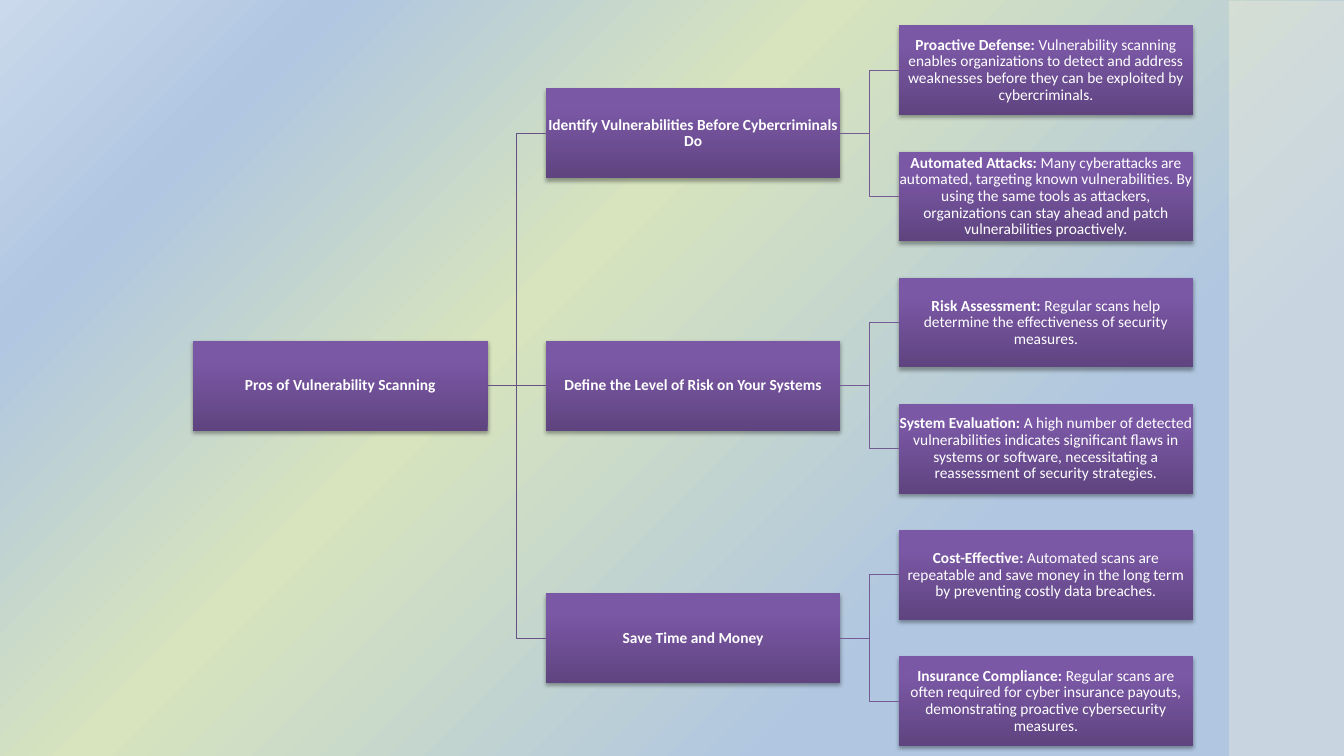
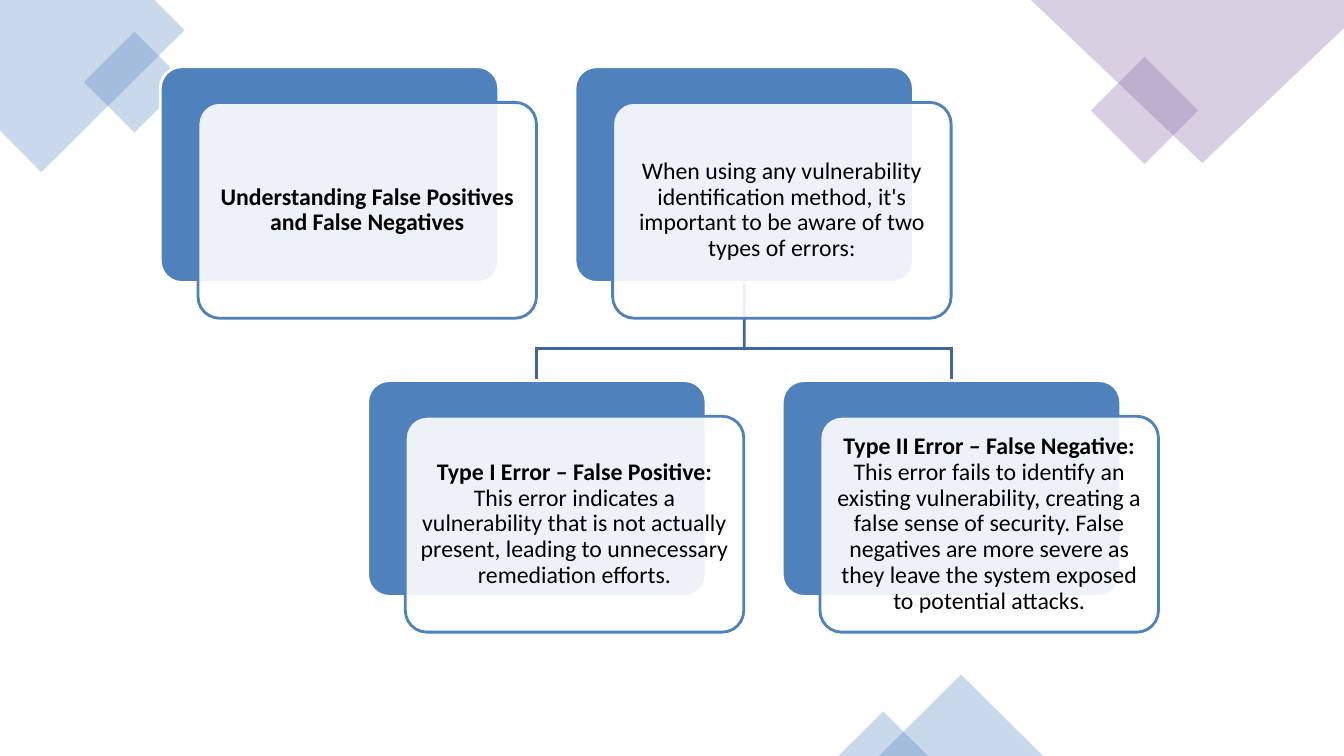
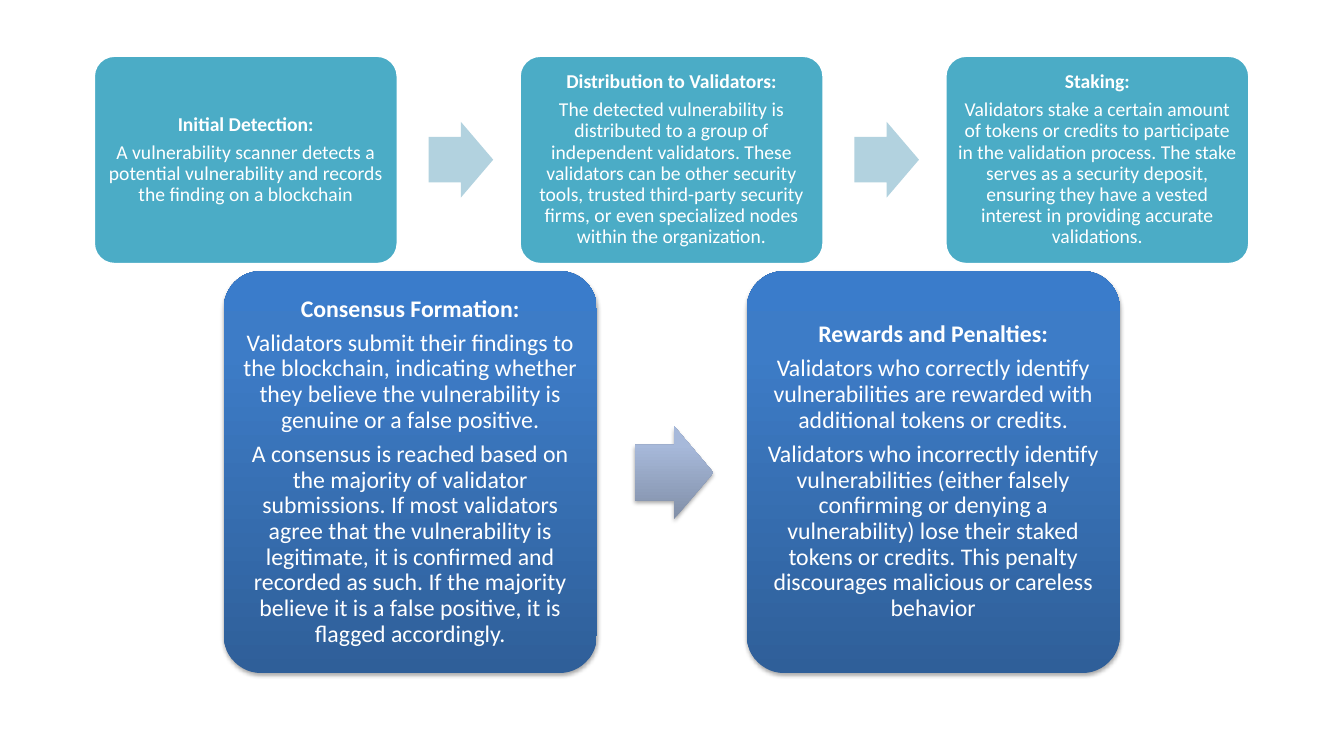
import pptx
import pptx.dml.color
import pptx.enum.dml
import pptx.enum.shapes
import pptx.enum.text
import pptx.oxml
import pptx.oxml.ns
import pptx.util

Cm = pptx.util.Cm
Pt = pptx.util.Pt
SHAPE = pptx.enum.shapes.MSO_SHAPE
CONN = pptx.enum.shapes.MSO_CONNECTOR
qn = pptx.oxml.ns.qn
rgb = pptx.dml.color.RGBColor.from_string

NS = 'xmlns:a="http://schemas.openxmlformats.org/drawingml/2006/main"'
RADIAL = '<a:path path="circle"><a:fillToRect l="100000" t="100000"/></a:path>'
UPWARD = '<a:lin ang="16200000" scaled="0"/>'
SHADOW = (f'<a:outerShdw {NS} blurRad="40000" dist="23000" dir="5400000" rotWithShape="0">'
          '<a:srgbClr val="000000"><a:alpha val="35000"/></a:srgbClr></a:outerShdw>')
SKY = (RADIAL, [(23, "B0C6E1"), (58, "D7E4BD"), (83, "B0C6E1"), (100, "CAD9EB")])
VIOLET = (UPWARD, [(0, "5F4480"), (80, "7B58A6"), (100, "7C57A8")])
ROYAL = (UPWARD, [(0, "2F5F99"), (80, "3D7CC7"), (100, "3A7CCB")])
STEEL = (UPWARD, [(0, "818FA8"), (80, "A7B9DA"), (100, "A7BADC")])
BLUE, PURPLE, TEAL, WHITE, BLACK = "4F81BD", "8064A2", "4BACC6", "FFFFFF", "000000"


def paint(o, fill, alpha=100):
    if isinstance(fill, str):
        o.fill.solid()
        o.fill.fore_color.rgb = rgb(fill)
        if alpha < 100:
            clr = o.element.find(".//" + qn("a:srgbClr"))
            clr.append(pptx.oxml.parse_xml(f'<a:alpha {NS} val="{alpha * 1000}"/>'))
        return
    direction, stops = fill
    gs = "".join(f'<a:gs pos="{pos * 1000}"><a:srgbClr val="{c}"/></a:gs>' for pos, c in stops)
    o.fill.gradient()
    old = o.element.find(".//" + qn("a:gradFill"))
    xml = f'<a:gradFill {NS} rotWithShape="1"><a:gsLst>{gs}</a:gsLst>{direction}</a:gradFill>'
    old.getparent().replace(old, pptx.oxml.parse_xml(xml))


def box(s, kind, at, fill, text="", size=11, color=WHITE, inset=0.02, line=None, alpha=100, adj=()):
    sp = s.shapes.add_shape(kind, *[Cm(v) for v in at])
    paint(sp, fill, alpha)
    for i, value in enumerate(adj):
        sp.adjustments[i] = value
    if line:
        sp.line.color.rgb = rgb(line)
        sp.line.width = Pt(2)
    else:
        sp.line.fill.background()
    sp.shadow.inherit = False
    if fill in (VIOLET, ROYAL, STEEL):
        sp.element.find(".//" + qn("a:effectLst")).append(pptx.oxml.parse_xml(SHADOW))
    if text:
        tf = sp.text_frame
        tf.word_wrap = True
        tf.vertical_anchor = pptx.enum.text.MSO_ANCHOR.MIDDLE
        tf.margin_left = tf.margin_right = tf.margin_top = tf.margin_bottom = Cm(inset)
        tf.text = text
        for p in tf.paragraphs:
            bold, bar, plain = p.text.rpartition("|")
            p.text = bold
            for r in p.runs:
                r.font.bold = True
            if plain:
                p.add_run().text = plain
            p.alignment = pptx.enum.text.PP_ALIGN.CENTER
            p.line_spacing = 0.9
            p.space_after = Pt(round(size * 0.35, 2))
            for r in p.runs:
                r.font.name = "Calibri"
                r.font.size = Pt(size)
                r.font.color.rgb = rgb(color)
    return sp


prs = pptx.Presentation()
prs.slide_width = Cm(33.87)
prs.slide_height = Cm(19.05)
blank = prs.slide_layouts[6]

s = prs.slides.add_slide(blank)
paint(s.background, SKY)
box(s, SHAPE.RECTANGLE, (0, 0.03, 33.87, 19.02), "EEECE1", alpha=40)
box(s, SHAPE.RECTANGLE, (0, 0, 30.96, 19.05), SKY)

branches = [
    ("Identify Vulnerabilities Before Cybercriminals Do|", [
        "Proactive Defense:| Vulnerability scanning enables organizations to detect and address weaknesses before they can be exploited by cybercriminals.",
        "Automated Attacks:| Many cyberattacks are automated, targeting known vulnerabilities. By using the same tools as attackers, organizations can stay ahead and patch vulnerabilities proactively."]),
    ("Define the Level of Risk on Your Systems|", [
        "Risk Assessment:| Regular scans help determine the effectiveness of security measures.",
        "System Evaluation:| A high number of detected vulnerabilities indicates significant flaws in systems or software, necessitating a reassessment of security strategies."]),
    ("Save Time and Money|", [
        "Cost-Effective:| Automated scans are repeatable and save money in the long term by preventing costly data breaches.",
        "Insurance Compliance:| Regular scans are often required for cyber insurance payouts, demonstrating proactive cybersecurity measures."]),
]
left, top, col, row, w, h = 4.87, 0.64, 8.89, 3.18, 7.42, 2.26
root = box(s, SHAPE.RECTANGLE, (left, top + 2.5 * row, w, h), VIOLET, "Pros of Vulnerability Scanning|")
links = []
for i, (heading, leaves) in enumerate(branches):
    y = top + (2 * i + 0.5) * row
    branch = box(s, SHAPE.RECTANGLE, (left + col, y, w, h), VIOLET, heading)
    links.append((root, branch, "675082"))
    for j, text in enumerate(leaves):
        y = top + (2 * i + j) * row
        leaf = box(s, SHAPE.RECTANGLE, (left + 2 * col, y, w, h), VIOLET, text)
        links.append((branch, leaf, "745B93"))
for start, end, color in links:
    kind = CONN.STRAIGHT if start.top == end.top else CONN.ELBOW
    c = s.shapes.add_connector(kind, 0, 0, 0, 0)
    c.begin_connect(start, 3)
    c.end_connect(end, 1)
    c.line.color.rgb = rgb(color)
    c.line.width = Pt(0.75)

s = prs.slides.add_slide(blank)
paint(s.background, WHITE)
corners = [
    (BLUE, [(3.89, 0), (0, 0), (0, 3.3), (1.04, 4.34), (4.65, 0.76)]),
    (PURPLE, [(33.87, 0), (25.98, 0), (30.3, 4.11), (33.87, 0.71)]),
]
for color, points in corners:
    points = [(Cm(x), Cm(y)) for x, y in points]
    fb = s.shapes.build_freeform(*points[0])
    fb.add_line_segments(points[1:], close=True)
    sp = fb.convert_to_shape()
    paint(sp, color, 30)
    sp.line.fill.background()
    sp.shadow.inherit = False
for x, y, side, color in [(2.49, 1.17, 1.8, BLUE), (27.89, 1.83, 1.91, PURPLE)]:
    box(s, SHAPE.RECTANGLE, (x, y, side, side), color, alpha=30).rotation = 315
for at in [(22.15, 17, 4.14, 2.05), (21.13, 17.93, 2.26, 1.12)]:
    box(s, SHAPE.ISOSCELES_TRIANGLE, at, BLUE, alpha=30)

left, top, col, row, w, h = 4.04, 1.68, 10.45, 7.91, 8.53, 5.44
mid = left + col + w / 2
bar = 8.79
lines = []
for x1, y1, x2, y2 in [(mid, top + h, mid, bar),
                       (mid - col / 2, bar, mid + col / 2, bar),
                       (mid - col / 2, bar, mid - col / 2, top + row),
                       (mid + col / 2, bar, mid + col / 2, top + row)]:
    c = s.shapes.add_connector(CONN.STRAIGHT, Cm(x1), Cm(y1), Cm(x2), Cm(y2))
    c.line.color.rgb = rgb("3F6797")
    c.line.width = Pt(2)
    c.element.find(".//" + qn("a:ln")).set("cap", "sq")
    lines.append(c)
cards = [
    "Understanding False Positives and False Negatives|",
    "When using any vulnerability identification method, it's important to be aware of two types of errors:",
    "Type I Error – False Positive:| This error indicates a vulnerability that is not actually present, leading to unnecessary remediation efforts.",
    "Type II Error – False Negative:| This error fails to identify an existing vulnerability, creating a false sense of security. False negatives are more severe as they leave the system exposed to potential attacks.",
]
backs = []
for i, text in enumerate(cards):
    x = left + col * (i % 2 + i // 2 / 2)
    y = top + row * (i // 2)
    backs.append(box(s, SHAPE.ROUNDED_RECTANGLE, (x, y, w, h), BLUE, line=WHITE, adj=[0.1]))
    box(s, SHAPE.ROUNDED_RECTANGLE, (x + 0.95, y + 0.9, w, h), WHITE, text, 17, BLACK, 0.18,
        line=BLUE, alpha=90, adj=[0.1])
lines[0].begin_connect(backs[1], 2)
lines[2].end_connect(backs[2], 0)
lines[3].end_connect(backs[3], 0)

s = prs.slides.add_slide(blank)
paint(s.background, WHITE)
detection = [
    "Initial Detection:|\nA vulnerability scanner detects a potential vulnerability and records the finding on a blockchain",
    "Distribution to Validators:|\nThe detected vulnerability is distributed to a group of independent validators. These validators can be other security tools, trusted third-party security firms, or even specialized nodes within the organization.",
    "Staking:|\nValidators stake a certain amount of tokens or credits to participate in the validation process. The stake serves as a security deposit, ensuring they have a vested interest in providing accurate validations.",
]
consensus = [
    "Consensus Formation:|\nValidators submit their findings to the blockchain, indicating whether they believe the vulnerability is genuine or a false positive.\nA consensus is reached based on the majority of validator submissions. If most validators agree that the vulnerability is legitimate, it is confirmed and recorded as such. If the majority believe it is a false positive, it is flagged accordingly.",
    "Rewards and Penalties:|\nValidators who correctly identify vulnerabilities are rewarded with additional tokens or credits.\nValidators who incorrectly identify vulnerabilities (either falsely confirming or denying a vulnerability) lose their staked tokens or credits. This penalty discourages malicious or careless behavior",
]
flows = [
    (detection, (2.36, 1.4, 7.67, 5.26), 10.73, TEAL, WHITE, 14, 0.15, (10.8, 3.07, 1.63, 1.91), "B2D2DF"),
    (consensus, (5.64, 6.83, 9.4, 10.13), 13.18, ROYAL, None, 17, 0.18, (16, 10.74, 1.98, 2.34), STEEL),
]
for steps, (x, y, w, h), pitch, fill, line, size, inset, (ax, ay, aw, ah), arrow_fill in flows:
    for i, text in enumerate(steps):
        if i:
            box(s, SHAPE.RIGHT_ARROW, (ax + (i - 1) * pitch, ay, aw, ah), arrow_fill, adj=[0.6, 0.5])
        box(s, SHAPE.ROUNDED_RECTANGLE, (x + i * pitch, y, w, h), fill, text, size,
            inset=inset, line=line, adj=[0.1])

for s in prs.slides:
    for sp in s.shapes:
        if sp.shape_type == pptx.enum.shapes.MSO_SHAPE_TYPE.LINE:
            sp.element.spPr.append(pptx.oxml.parse_xml(f"<a:effectLst {NS}/>"))

prs.save("out.pptx")
